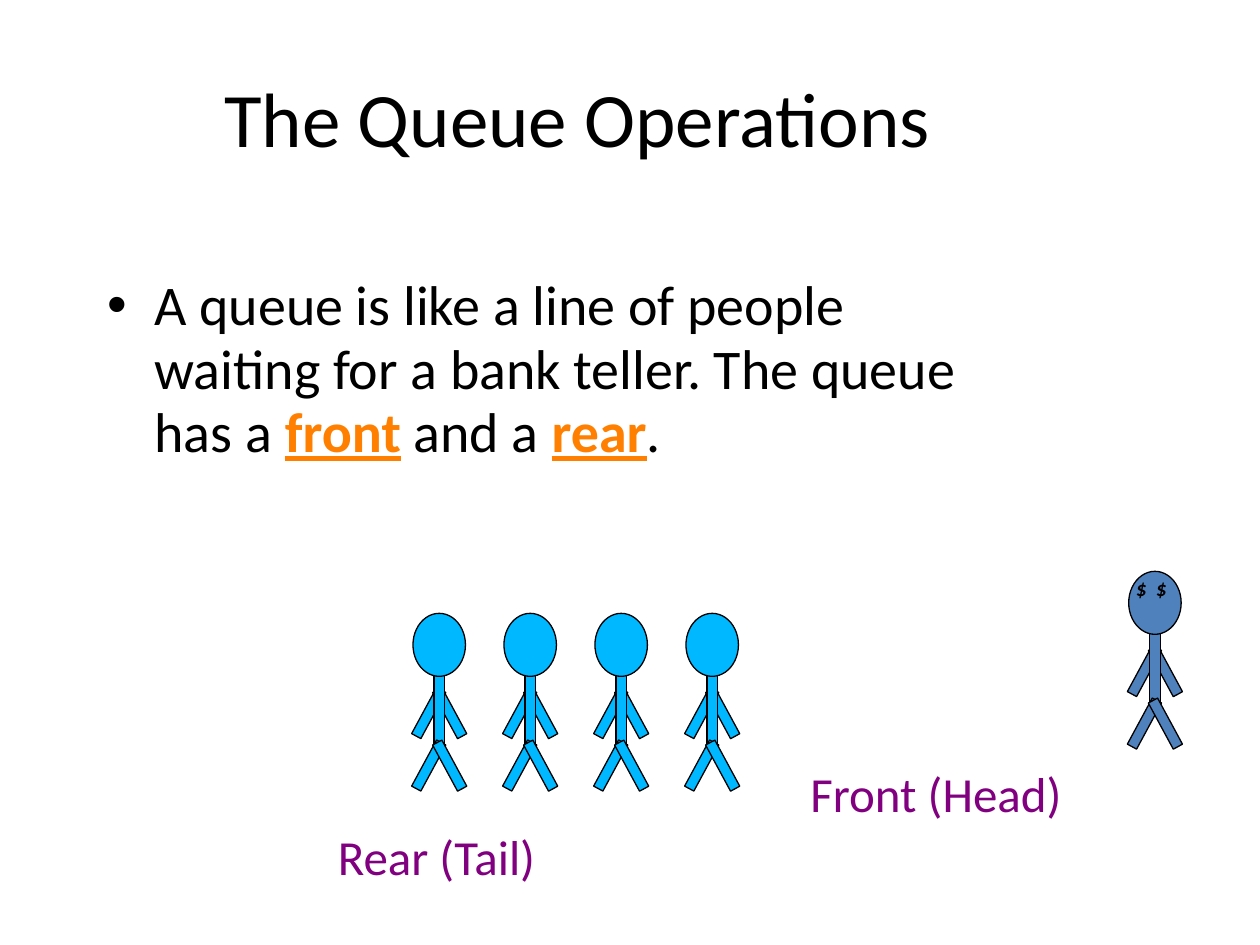
from dataclasses import dataclass

from pptx import Presentation
from pptx.dml.color import RGBColor
from pptx.enum.shapes import MSO_SHAPE
from pptx.enum.text import MSO_ANCHOR, MSO_AUTO_SIZE, PP_ALIGN
from pptx.util import Pt

PX = 6350  # EMU, 144 px to the inch


@dataclass(frozen=True)
class Theme:
    font: str = "Calibri"
    ink: RGBColor = RGBColor(0x00, 0x00, 0x00)
    term: RGBColor = RGBColor(0xFF, 0x80, 0x00)
    label: RGBColor = RGBColor(0x80, 0x00, 0x80)
    customer: RGBColor = RGBColor(0x00, 0xB8, 0xFF)
    teller: RGBColor = RGBColor(0x4F, 0x81, 0xBD)
    title_size: int = 44
    body_size: int = 32
    label_size: int = 28
    eyes_size: int = 12
    outline: float = 0.75
    line_spacing: float = 0.95


THEME = Theme()
LIMB_ANGLE = 28.4
PERSON_PITCH = 104


def emu(*lengths):
    return [length * PX for length in lengths]


def place(shape, box):
    shape.left, shape.top, shape.width, shape.height = emu(*box)


def style(paragraph, size, color):
    paragraph.line_spacing = THEME.line_spacing
    paragraph.space_before = Pt(0)
    paragraph.font.name = THEME.font
    paragraph.font.size = Pt(size)
    paragraph.font.color.rgb = color


def add_title(slide, box, wording):
    title = slide.shapes.title
    place(title, box)
    frame = title.text_frame
    frame.text = wording
    frame.vertical_anchor = MSO_ANCHOR.MIDDLE
    frame.auto_size = MSO_AUTO_SIZE.NONE
    style(frame.paragraphs[0], THEME.title_size, THEME.ink)
    frame.paragraphs[0].alignment = PP_ALIGN.CENTER


def add_definition(slide, box, pieces):
    """Fill the body with one bullet; pieces are (wording, is_term) pairs."""
    body = slide.placeholders[1]
    place(body, box)
    frame = body.text_frame
    frame.auto_size = MSO_AUTO_SIZE.NONE
    bullet = frame.paragraphs[0]
    style(bullet, THEME.body_size, THEME.ink)
    for wording, is_term in pieces:
        run = bullet.add_run()
        run.text = wording
        if is_term:
            run.font.bold = run.font.underline = True
            run.font.color.rgb = THEME.term


def add_person(slide, left, top, color):
    """Draw a stick figure with its head's corner at left, top; return its group."""
    person = slide.shapes.add_group_shape()
    left_arm, right_arm = (12, 84, 12, 60), (36, 84, 12, 60)
    left_leg, right_leg = (12, 144, 12, 60), (36, 144, 12, 60)
    torso, head = (24, 60, 12, 96), (0, 0, 60, 72)
    parts = [
        (MSO_SHAPE.RECTANGLE, left_arm, LIMB_ANGLE),
        (MSO_SHAPE.RECTANGLE, right_arm, -LIMB_ANGLE),
        (MSO_SHAPE.RECTANGLE, torso, 0),
        (MSO_SHAPE.OVAL, head, 0),
        (MSO_SHAPE.RECTANGLE, left_leg, LIMB_ANGLE),
        (MSO_SHAPE.RECTANGLE, right_leg, -LIMB_ANGLE),
    ]
    for kind, (x, y, width, height), angle in parts:
        part = person.shapes.add_shape(kind, *emu(left + x, top + y, width, height))
        part.rotation = angle
        part.shadow.inherit = False
        part.fill.solid()
        part.fill.fore_color.rgb = color
        part.line.color.rgb = THEME.ink
        part.line.width = Pt(THEME.outline)
    return person


def add_text(shapes, box, wording, size, color):
    frame = shapes.add_textbox(*emu(*box)).text_frame
    frame.word_wrap = False
    frame.text = wording
    paragraph = frame.paragraphs[0]
    style(paragraph, size, color)
    return paragraph


def add_teller(slide, left, top):
    teller = add_person(slide, left, top, THEME.teller)
    eyes = add_text(teller.shapes, (left - 6, top, 72, 72), "$\t$",
                    THEME.eyes_size, THEME.ink)
    eyes.font.bold = eyes.font.italic = True
    tabs = eyes._p.get_or_add_pPr().makeelement(
        "{http://schemas.openxmlformats.org/drawingml/2006/main}tabLst", {})
    tab = tabs.makeelement(tabs.tag.replace("tabLst", "tab"),
                           {"pos": str(23 * PX), "algn": "l"})
    tabs.append(tab)
    eyes._p.pPr.find(tabs.tag.replace("tabLst", "defRPr")).addprevious(tabs)


def add_queue(slide, left, top, count):
    for place_in_line in range(count):
        add_person(slide, left + place_in_line * PERSON_PITCH, top, THEME.customer)


def main():
    deck = Presentation()
    deck.slide_width, deck.slide_height = emu(1440, 1080)
    slide = deck.slides.add_slide(deck.slide_layouts[1])

    add_title(slide, (48, 48, 1224, 180), "The Queue Operations")
    add_definition(slide, (108, 306, 1020, 270), [
        ("A queue is like a line of people waiting for a bank teller. "
         "The queue has a ", False),
        ("front", True),
        (" and a ", False),
        ("rear", True),
        (".", False),
    ])
    add_queue(slide, 472, 701, count=4)
    add_teller(slide, 1290, 653)
    for box, wording in [
        ((912, 870, 318, 79), "Front (Head)"),
        ((372, 942, 256, 79), "Rear (Tail)"),
    ]:
        add_text(slide.shapes, box, wording, THEME.label_size, THEME.label)

    deck.save("out.pptx")


if __name__ == "__main__":
    main()
